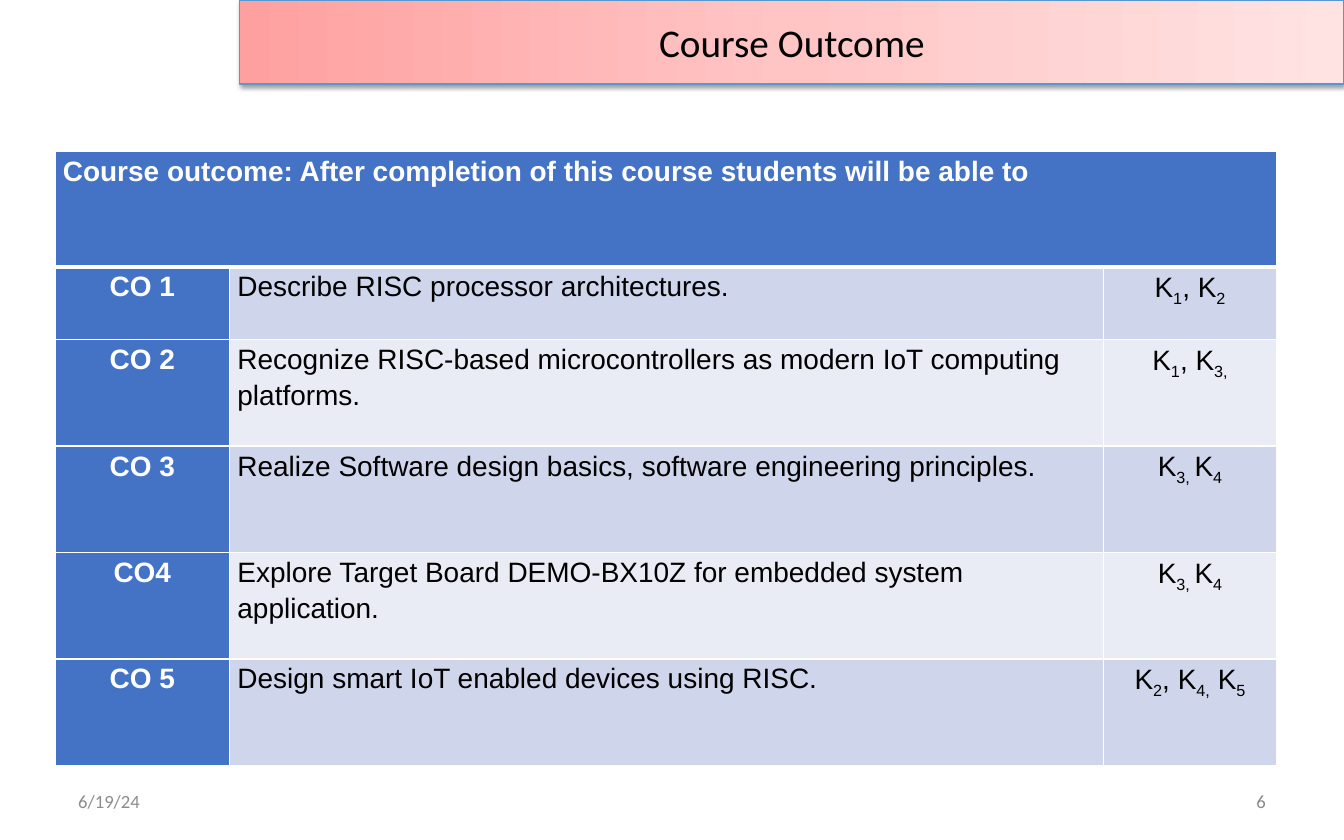
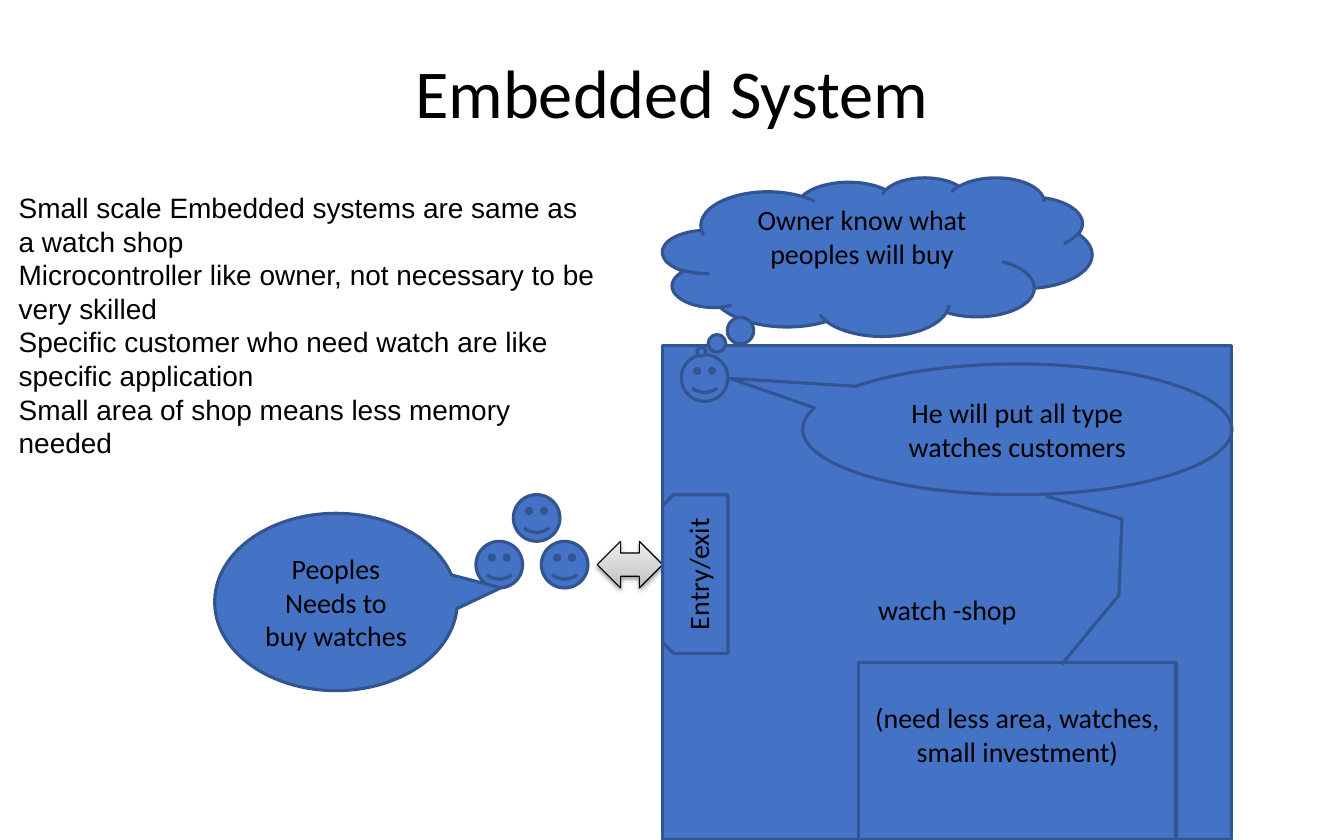
from dataclasses import dataclass

from lxml import etree
from pptx import Presentation
from pptx.dml.color import RGBColor
from pptx.enum.shapes import MSO_SHAPE
from pptx.enum.text import MSO_ANCHOR, MSO_AUTO_SIZE, PP_ALIGN
from pptx.oxml.ns import qn
from pptx.util import Inches, Pt

LEFT, CENTER = PP_ALIGN.LEFT, PP_ALIGN.CENTER
RIGHT, JUSTIFY = PP_ALIGN.RIGHT, PP_ALIGN.JUSTIFY
TOP, MIDDLE = MSO_ANCHOR.TOP, MSO_ANCHOR.MIDDLE

# Grid: 144 columns by 90 rows of square cells on a 12 by 7.5 inch slide
WIDTH, HEIGHT = Inches(12), Inches(7.5)
CELL = WIDTH / 144
TITLE_ONLY, TITLE_AND_BODY = 5, 1

COLORS = {
    "text": "000000",
    "white": "FFFFFF",
    "date": "8C8C8C",
    "number": "898989",
    "blue": "4472C4",
    "outline": "325491",
    "banner_line": "5698D3",
    "odd_row": "CFD5EA",
    "even_row": "E9EBF5",
}
BANNER_STOPS = [(0, "FFA0A0"), (50, "FFC5C5"), (100, "FFE3E3")]
ARROW_STOPS = [(0, "BDBDBD"), (35, "D1D1D1"), (100, "EEEEEE")]


@dataclass(frozen=True)
class Area:
    """A block of grid cells."""
    column: float
    row: float
    columns: float
    rows: float

    def lengths(self) -> list[int]:
        return [cells(n) for n in (self.column, self.row, self.columns, self.rows)]


@dataclass(frozen=True)
class Figure:
    """A blue preset shape; the paddings are in inches."""
    kind: MSO_SHAPE
    area: Area
    text: str = ""
    adjustments: tuple[float, ...] = ()
    rotation: int = 0
    top_padding: float = 0.05
    bottom_padding: float = 0.05


@dataclass(frozen=True)
class Outcome:
    """A table row; underscores enclose subscripts in the levels."""
    label: str
    text: str
    levels: str
    rows: float = 11.4


OUTCOMES = [
    Outcome("CO 1", "Describe RISC processor architectures.", "K_1_, K_2_", 7.8),
    Outcome("CO 2", "Recognize RISC-based microcontrollers as modern IoT computing platforms.",
            "K_1_, K_3,_"),
    Outcome("CO 3", "Realize Software design basics, software engineering principles.",
            "K_3, _K_4_"),
    Outcome("CO4", "Explore Target Board DEMO-BX10Z for embedded system application.",
            "K_3, _K_4_"),
    Outcome("CO 5", "Design smart IoT enabled devices using RISC.", "K_2_, K_4,_ K_5_"),
]
TABLE_HEADING = "Course outcome: After completion of this course students will be able to"
TABLE_COLUMNS = (18.7, 93.6, 18.6)
HEADING_ROWS = 12.4

SHOP = Figure(MSO_SHAPE.RECTANGLE, Area(71, 37, 61, 53), "watch -shop", top_padding=0.35)
FACES = [
    Figure(MSO_SHAPE.SMILEY_FACE, Area(column, row, 5, 5))
    for column, row in [(55, 53), (58, 58), (51, 58), (73, 38)]
]
CUSTOMERS = Figure(MSO_SHAPE.OVAL_CALLOUT, Area(23, 55, 26, 19),
                   "Peoples\nNeeds to buy watches", (0.68, -0.08))
THOUGHT = Figure(MSO_SHAPE.CLOUD_CALLOUT, Area(71, 19, 46, 17),
                 "Owner know what peoples will buy", (-0.41, 0.6), bottom_padding=0.35)
SPEECH = Figure(MSO_SHAPE.OVAL_CALLOUT, Area(86, 39, 46, 14),
                "He will put all type watches customers", (-0.67, -0.39))
DOOR = Figure(MSO_SHAPE.SNIP_2_SAME_RECTANGLE, Area(66, 58, 17, 7), "Entry/exit", rotation=270)
COUNTER = Figure(MSO_SHAPE.LINE_CALLOUT_3, Area(92, 71, 34, 19),
                 "(need less area, watches, small investment)",
                 (0.01, 0.64, -0.38, 0.82, -0.81, 0.83, -0.94, 0.59), bottom_padding=0.35)
VISITS = Area(64, 58, 7, 5)

REMARKS = [
    "Small scale Embedded systems are same as a watch shop",
    "Microcontroller like owner, not necessary to be very skilled",
    "Specific customer who need watch are like specific application",
    "Small area of shop means less memory needed",
]


# Shared helpers
def cells(count: float) -> int:
    return round(count * CELL)


def color(name: str) -> RGBColor:
    return RGBColor.from_string(COLORS[name])


def place(shape, area: Area) -> None:
    shape.left, shape.top, shape.width, shape.height = area.lengths()


def format_text(text_frame, size: float, font_name: str, color_name: str = "text",
                alignment=LEFT, anchor=TOP, bold: bool = False) -> None:
    text_frame.word_wrap = True
    text_frame.vertical_anchor = anchor
    for paragraph in text_frame.paragraphs:
        format_paragraph(paragraph, size, font_name, color_name, alignment, bold)


def format_paragraph(paragraph, size: float, font_name: str, color_name: str,
                     alignment, bold: bool) -> None:
    paragraph.alignment = alignment
    for run in paragraph.runs:
        run.font.size = Pt(size)
        run.font.name = font_name
        run.font.bold = bold
        run.font.color.rgb = color(color_name)


def set_line(shape, color_name: str, width: float) -> None:
    shape.line.color.rgb = color(color_name)
    shape.line.width = Pt(width)


def add_element(parent, tag: str, **attributes):
    values = {name: str(value) for name, value in attributes.items()}
    return etree.SubElement(parent, qn(tag), values)


def set_gradient(shape, stops: list[tuple[int, str]], angle: int) -> None:
    shape.fill.gradient()
    gradient = shape.element.spPr.find(qn("a:gradFill"))
    for child in list(gradient):
        gradient.remove(child)
    stop_list = add_element(gradient, "a:gsLst")
    for percent, value in stops:
        stop = add_element(stop_list, "a:gs", pos=percent * 1000)
        add_element(stop, "a:srgbClr", val=value)
    add_element(gradient, "a:lin", ang=angle * 60000, scaled=0)


def set_shadow(shape) -> None:
    shape.shadow.inherit = False
    effects = shape.element.spPr.find(qn("a:effectLst"))
    shadow = add_element(effects, "a:outerShdw", blurRad=Pt(3.1), dist=Pt(1.6),
                         dir=90 * 60000, rotWithShape=0)
    shadow_color = add_element(shadow, "a:srgbClr", val=COLORS["text"])
    add_element(shadow_color, "a:alpha", val=38000)


def set_title(slide, text: str, area: Area, size: float):
    title = slide.shapes.title
    place(title, area)
    title.text_frame.text = text
    title.text_frame.auto_size = MSO_AUTO_SIZE.NONE
    format_text(title.text_frame, size, "Calibri", alignment=CENTER, anchor=MIDDLE)
    return title


def add_footer(slide, column: float, text: str, color_name: str, alignment) -> None:
    box = slide.shapes.add_textbox(*Area(column, 83.4, 33.6, 4.8).lengths())
    box.text_frame.text = text
    format_text(box.text_frame, 12, "Calibri", color_name, alignment, MIDDLE)


# Table
def set_borders(cell, bottom_width: float) -> None:
    properties = cell._tc.get_or_add_tcPr()
    widths = {"a:lnL": 1, "a:lnR": 1, "a:lnT": 1, "a:lnB": bottom_width}
    for position, (tag, width) in enumerate(widths.items()):
        border = add_element(properties, tag, w=Pt(width))
        add_element(add_element(border, "a:solidFill"), "a:srgbClr", val=COLORS["white"])
        properties.insert(position, border)


def fill_cell(cell, text: str, fill: str, color_name: str = "text", alignment=LEFT,
              bold: bool = False, space_after: float = 10, bottom_border: float = 1) -> None:
    cell.fill.solid()
    cell.fill.fore_color.rgb = color(fill)
    cell.margin_left = cell.margin_right = Inches(0.07)
    cell.margin_top = cell.margin_bottom = 0
    set_borders(cell, bottom_border)
    paragraph = cell.text_frame.paragraphs[0]
    for index, piece in enumerate(text.split("_")):
        if piece:
            run = paragraph.add_run()
            run.text = piece
            if index % 2:
                run._r.get_or_add_rPr().set("baseline", "-25000")
    paragraph.line_spacing = 1.15
    paragraph.space_after = Pt(space_after)
    format_paragraph(paragraph, 18, "Arial", color_name, alignment, bold)


def add_outcome_table(slide) -> None:
    row_sizes = [HEADING_ROWS] + [outcome.rows for outcome in OUTCOMES]
    area = Area(5.9, 16.2, sum(TABLE_COLUMNS), sum(row_sizes))
    table = slide.shapes.add_table(len(row_sizes), len(TABLE_COLUMNS), *area.lengths()).table
    for column, size in zip(table.columns, TABLE_COLUMNS):
        column.width = cells(size)
    for row, size in zip(table.rows, row_sizes):
        row.height = cells(size)

    heading = table.cell(0, 0)
    heading.merge(table.cell(0, len(TABLE_COLUMNS) - 1))
    for index in range(len(TABLE_COLUMNS)):
        fill_cell(table.cell(0, index), "" if index else TABLE_HEADING, "blue", "white",
                  JUSTIFY, bold=True, space_after=12, bottom_border=3)
    for row, outcome in enumerate(OUTCOMES, start=1):
        band = "odd_row" if row % 2 else "even_row"
        fill_cell(table.cell(row, 0), outcome.label, "blue", "white", CENTER, bold=True)
        fill_cell(table.cell(row, 1), outcome.text, band)
        fill_cell(table.cell(row, 2), outcome.levels, band, alignment=CENTER)
    for column in range(len(TABLE_COLUMNS)):
        top_border = table.cell(1, column)._tc.tcPr.find(qn("a:lnT"))
        top_border.set("w", str(Pt(3)))


# Watch shop diagram
def add_figure(slide, figure: Figure) -> None:
    shape = slide.shapes.add_shape(figure.kind, *figure.area.lengths())
    shape.fill.solid()
    shape.fill.fore_color.rgb = color("blue")
    set_line(shape, "outline", 2)
    shape.shadow.inherit = False
    shape.rotation = figure.rotation
    for index, value in enumerate(figure.adjustments):
        shape.adjustments[index] = value
    if figure.text:
        text_frame = shape.text_frame
        text_frame.text = figure.text
        text_frame.margin_top = Inches(figure.top_padding)
        text_frame.margin_bottom = Inches(figure.bottom_padding)
        format_text(text_frame, 18, "Calibri", alignment=CENTER, anchor=MIDDLE)


def add_visits_arrow(slide) -> None:
    arrow = slide.shapes.add_shape(MSO_SHAPE.LEFT_RIGHT_ARROW, *VISITS.lengths())
    set_gradient(arrow, ARROW_STOPS, 270)
    set_line(arrow, "text", 0.75)
    set_shadow(arrow)


def set_remarks(slide) -> None:
    body = slide.placeholders[1]
    place(body, Area(0.8, 19.8, 64.2, 37.6))
    text_frame = body.text_frame
    text_frame.text = "\n".join(REMARKS)
    text_frame.auto_size = MSO_AUTO_SIZE.NONE
    for paragraph in text_frame.paragraphs:
        properties = paragraph._p.get_or_add_pPr()
        properties.set("marL", "0")
        properties.set("indent", "0")
        add_element(properties, "a:buNone")
        paragraph.space_before = Pt(0)
    format_text(text_frame, 18, "Arial")


# Slides
def build_outcome_slide(presentation) -> None:
    slide = presentation.slides.add_slide(presentation.slide_layouts[TITLE_ONLY])
    add_footer(slide, 7.2, "6/19/24", "date", LEFT)
    add_footer(slide, 103.2, "6", "number", RIGHT)
    banner = set_title(slide, "Course Outcome", Area(25.7, 0, 118.3, 9), 25.2)
    set_gradient(banner, BANNER_STOPS, 0)
    set_line(banner, "banner_line", 0.75)
    set_shadow(banner)
    add_outcome_table(slide)


def build_shop_slide(presentation) -> None:
    slide = presentation.slides.add_slide(presentation.slide_layouts[TITLE_AND_BODY])
    set_title(slide, "Embedded System", Area(18, 3.5, 108, 12.5), 44)
    set_remarks(slide)
    for figure in [SHOP, *FACES, CUSTOMERS]:
        add_figure(slide, figure)
    add_visits_arrow(slide)
    for figure in [THOUGHT, SPEECH, DOOR, COUNTER]:
        add_figure(slide, figure)


def main() -> None:
    presentation = Presentation()
    presentation.slide_width, presentation.slide_height = WIDTH, HEIGHT
    build_outcome_slide(presentation)
    build_shop_slide(presentation)
    presentation.save("out.pptx")


if __name__ == "__main__":
    main()
